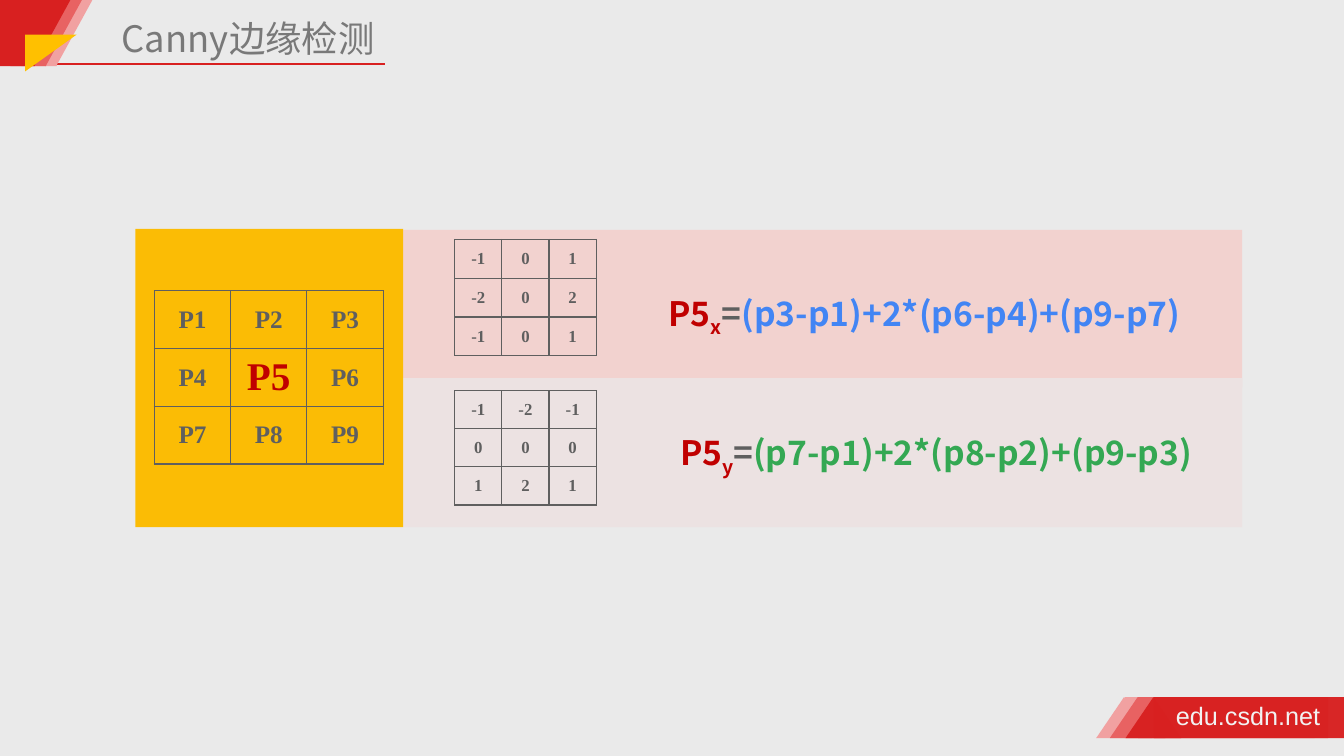
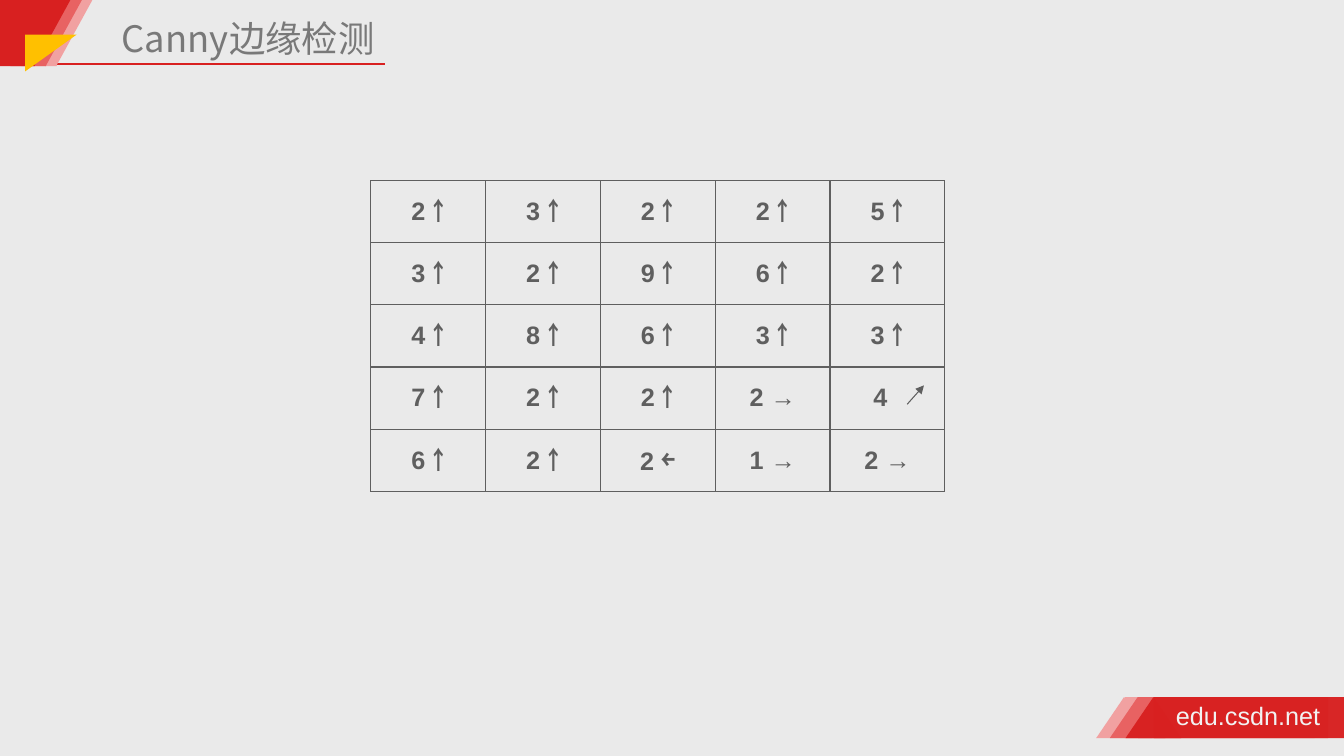
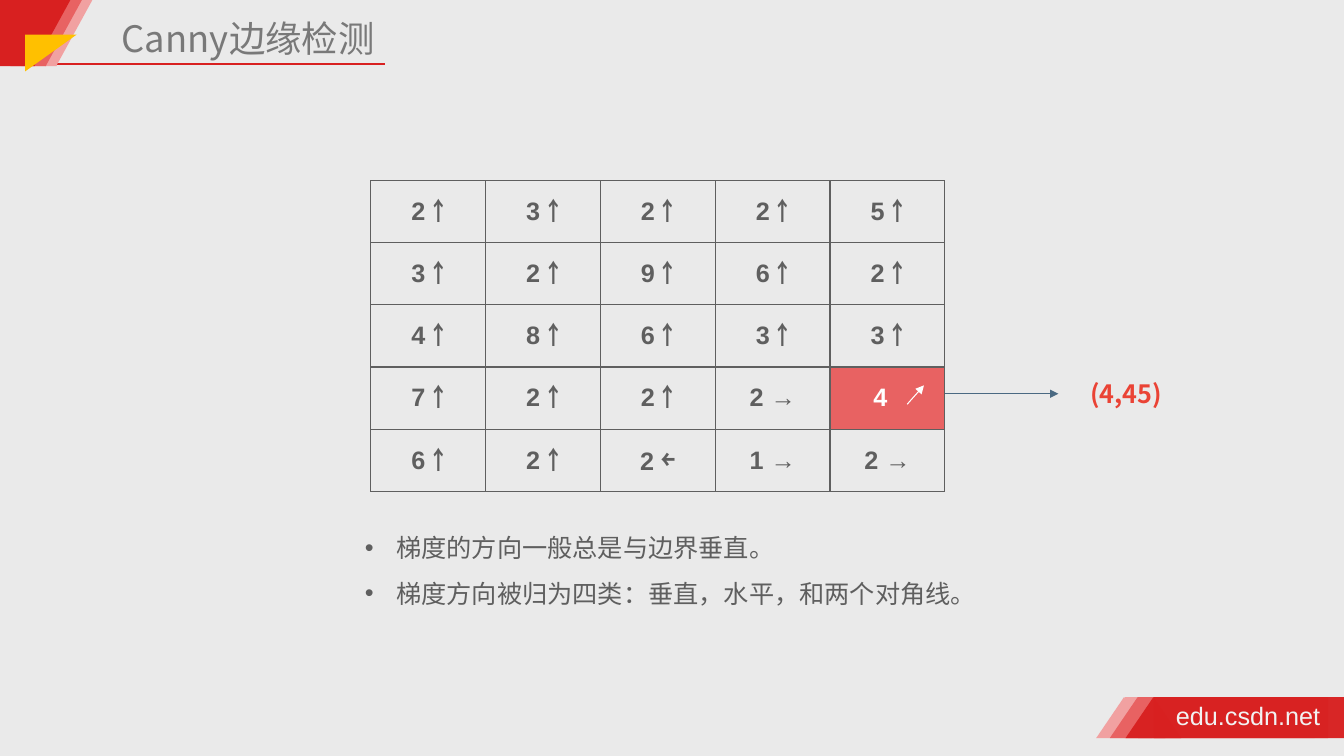
"""Build three slides on Canny edge detection: Sobel masks, gradient grid, gradient directions."""
import lxml.etree
import pptx
import pptx.dml.color
import pptx.enum.shapes
import pptx.enum.text
import pptx.oxml.ns
import pptx.util

PX = 9525
SANS, LATIN, SERIF = "Noto Sans CJK SC", "Arial", "Times New Roman"
COLORS = {
    "background": "EAEAEA", "red": "D82020", "coral": "E86262", "pink": "F1A1A1",
    "gold": "FFC000", "amber": "FBBC05", "rose": "F2D2CF", "blush": "ECE2E2",
    "gray": "5F5F5F", "title": "797979", "footer": "F2F2F2", "white": "FFFFFF",
    "crimson": "C00000", "blue": "4285F4", "green": "34A853", "slate": "4A6982",
    "label": "EA4335",
}
RGB = {name: pptx.dml.color.RGBColor.from_string(value) for name, value in COLORS.items()}
SHAPE = pptx.enum.shapes.MSO_SHAPE
CENTER = pptx.enum.text.PP_ALIGN.CENTER
MIDDLE = pptx.enum.text.MSO_ANCHOR.MIDDLE
qn = pptx.oxml.ns.qn


def write(paragraph, text, size=18, color="gray", font=SANS, bold=False, baseline=0):
    run = paragraph.add_run()
    run.text = text
    run.font.size = pptx.util.Pt(size)
    run.font.bold = bold
    run.font.color.rgb = RGB[color]
    run.font.name = font
    properties = run._r.get_or_add_rPr()
    lxml.etree.SubElement(properties, qn("a:ea"), typeface=font)
    if baseline:
        properties.set("baseline", str(baseline * 1000))


def add_line(slide, points, color, width=1, arrow=True):
    line = slide.shapes.add_connector(
        pptx.enum.shapes.MSO_CONNECTOR.STRAIGHT, *(value * PX for value in points))
    line.line.color.rgb = RGB[color]
    line.line.width = pptx.util.Pt(width)
    if arrow:
        lxml.etree.SubElement(line.line._get_or_add_ln(), qn("a:tailEnd"), type="triangle")
    lxml.etree.SubElement(line.element.spPr, qn("a:effectLst"))


presentation = pptx.Presentation()
presentation.slide_width, presentation.slide_height = 1280 * PX, 720 * PX
layout = presentation.slide_layouts[6]
layout.background.fill.solid()
layout.background.fill.fore_color.rgb = RGB["background"]
for placeholder in list(layout.placeholders):
    layout.shapes.element.remove(placeholder.element)
slides = [presentation.slides.add_slide(layout) for _ in range(3)]
masks, gradients, directions = slides

add_line(masks, (47, 61, 367, 61), "red", arrow=False)
decorations = []
for color, footer_left, corner_left in (("pink", 1044, 20), ("coral", 1057, 10), ("red", 1072, -1)):
    decorations += [
        (SHAPE.RECTANGLE, (footer_left + 27, 664, 181, 39), color, 0),
        (SHAPE.ISOSCELES_TRIANGLE, (footer_left, 664, 53, 39), color, 0),
        (SHAPE.RECTANGLE, (corner_left, 0, 34, 63), color, 0),
        (SHAPE.ISOSCELES_TRIANGLE, (corner_left - 1, 0, 69, 63), color, 180),
    ]
decorations.append((SHAPE.RIGHT_TRIANGLE, (31, 26, 35, 49), "gold", 90))
panels = [
    (SHAPE.RECTANGLE, (384, 219, 799, 150), "rose", 0),
    (SHAPE.RECTANGLE, (384, 360, 799, 142), "blush", 0),
    (SHAPE.RECTANGLE, (129, 218, 255, 284), "amber", 0),
]
for group in (decorations, panels):
    for preset, box, color, rotation in group:
        shape = masks.shapes.add_shape(preset, *(value * PX for value in box))
        shape.shadow.inherit = False
        shape.fill.solid()
        shape.fill.fore_color.rgb = RGB[color]
        shape.line.fill.background()
        shape.rotation = rotation
        if color == "red" and box[1] > 0:
            tint = shape.element.spPr.find(".//" + qn("a:srgbClr"))
            lxml.etree.SubElement(tint, qn("a:alpha"), val="97000")
    if group is decorations:
        footer = masks.shapes.add_textbox(1115 * PX, 662 * PX, 149 * PX, 38 * PX).text_frame
        footer.word_wrap = False
        footer.margin_left = footer.margin_right = 5 * PX
        write(footer.paragraphs[0], "edu.csdn.net", color="footer", font=LATIN)
        for shape in list(masks.shapes):
            layout.shapes.element.append(shape.element)

for slide in slides:
    title = slide.shapes.add_textbox(103 * PX, 5 * PX, 363 * PX, 54 * PX).text_frame
    title.word_wrap = True
    title.vertical_anchor = MIDDLE
    title.margin_left = 13 * PX
    title.paragraphs[0].line_spacing = 1.2
    write(title.paragraphs[0], "Canny边缘检测", size=26, color="title")

for axis, box, expression, color in (
    ("y", (617, 407, 549, 48), "(p7-p1)+2*(p8-p2)+(p9-p3)", "green"),
    ("x", (606, 274, 549, 48), "(p3-p1)+2*(p6-p4)+(p9-p7)", "blue"),
):
    formula = masks.shapes.add_textbox(*(value * PX for value in box)).text_frame
    formula.word_wrap = False
    paragraph = formula.paragraphs[0]
    paragraph.alignment = CENTER
    write(paragraph, "P5", size=24, color="crimson", bold=True)
    write(paragraph, axis, size=24, color="crimson", bold=True, baseline=-25)
    write(paragraph, "=", size=24, bold=True)
    write(paragraph, expression, size=24, color=color, bold=True)

gradient_box = (353, 172, 547, 296)
gradient_rows = (
    "2 ￪,3 ￪,2 ￪,2 ￪,5 ￪",
    "3 ￪,2 ￪,9 ￪,6 ￪,2 ￪",
    "4 ￪,8 ￪,6 ￪,3 ￪,3 ￪",
    "7 ￪,2 ￪,2 ￪,2 →,4",
    "6 ￪,2 ￪,2 ￩,1 →,2 →",
)
tables = []
for slide, box, rows, size, font in (
    (masks, (147, 277, 218, 165), ("P1,P2,P3", "P4,P5,P6", "P7,P8,P9"), 18, SERIF),
    (masks, (433, 228, 135, 111), ("-1,0,1", "-2,0,2", "-1,0,1"), 12, SERIF),
    (masks, (433, 372, 135, 109), ("-1,-2,-1", "0,0,0", "1,2,1"), 12, SERIF),
    (gradients, gradient_box, gradient_rows, 18, LATIN),
    (directions, gradient_box, gradient_rows, 18, LATIN),
):
    count = len(rows)
    table = slide.shapes.add_table(count, count, *(value * PX for value in box)).table
    table.first_row = table.horz_banding = False
    tables.append(table)
    for row, line in enumerate(rows):
        for column, text in enumerate(line.split(",")):
            cell = table.cell(row, column)
            cell.vertical_anchor = MIDDLE
            cell.fill.background()
            paragraph = cell.text_frame.paragraphs[0]
            paragraph.alignment = CENTER
            if text == "P5":
                write(paragraph, text, size=28, color="crimson", font=font, bold=True)
            else:
                write(paragraph, text.rstrip("￩"), size=size, font=font, bold=True)
            if text.endswith("￩"):
                write(paragraph, "￩", size=20, font=font, bold=True)
            properties = cell._tc.get_or_add_tcPr()
            for index, side in enumerate(("lnL", "lnR", "lnT", "lnB")):
                border = lxml.etree.Element(qn("a:" + side), w="12700")
                fill = lxml.etree.SubElement(border, qn("a:solidFill"))
                lxml.etree.SubElement(fill, qn("a:srgbClr"), val=COLORS["gray"])
                properties.insert(index, border)

for slide, table, color in ((gradients, tables[3], "gray"), (directions, tables[4], "white")):
    diagonal = table.cell(3, 4)
    diagonal.margin_right = 23 * PX
    diagonal.text_frame.paragraphs[0].runs[0].font.color.rgb = RGB[color]
    add_line(slide, (864, 385, 880, 367), color, width=0.75)
diagonal.fill.solid()
diagonal.fill.fore_color.rgb = RGB["coral"]

notes = directions.shapes.add_textbox(338 * PX, 488 * PX, 942 * PX, 92 * PX).text_frame
notes.word_wrap = True
for index, text in enumerate(("梯度的方向一般总是与边界垂直。", "梯度方向被归为四类：垂直，水平，和两个对角线。")):
    paragraph = notes.add_paragraph() if index else notes.paragraphs[0]
    paragraph.line_spacing = 1.5
    properties = paragraph._p.get_or_add_pPr()
    properties.set("marL", str(30 * PX))
    properties.set("indent", str(-30 * PX))
    lxml.etree.SubElement(properties, qn("a:buFont"), typeface=LATIN)
    lxml.etree.SubElement(properties, qn("a:buChar"), char="•")
    write(paragraph, text)

add_line(directions, (900, 375, 1008, 375), "slate")
label = directions.shapes.add_textbox(1029 * PX, 356 * PX, 95 * PX, 38 * PX).text_frame
label.word_wrap = True
write(label.paragraphs[0], "(4,45)", color="label", bold=True)

presentation.save("out.pptx")
